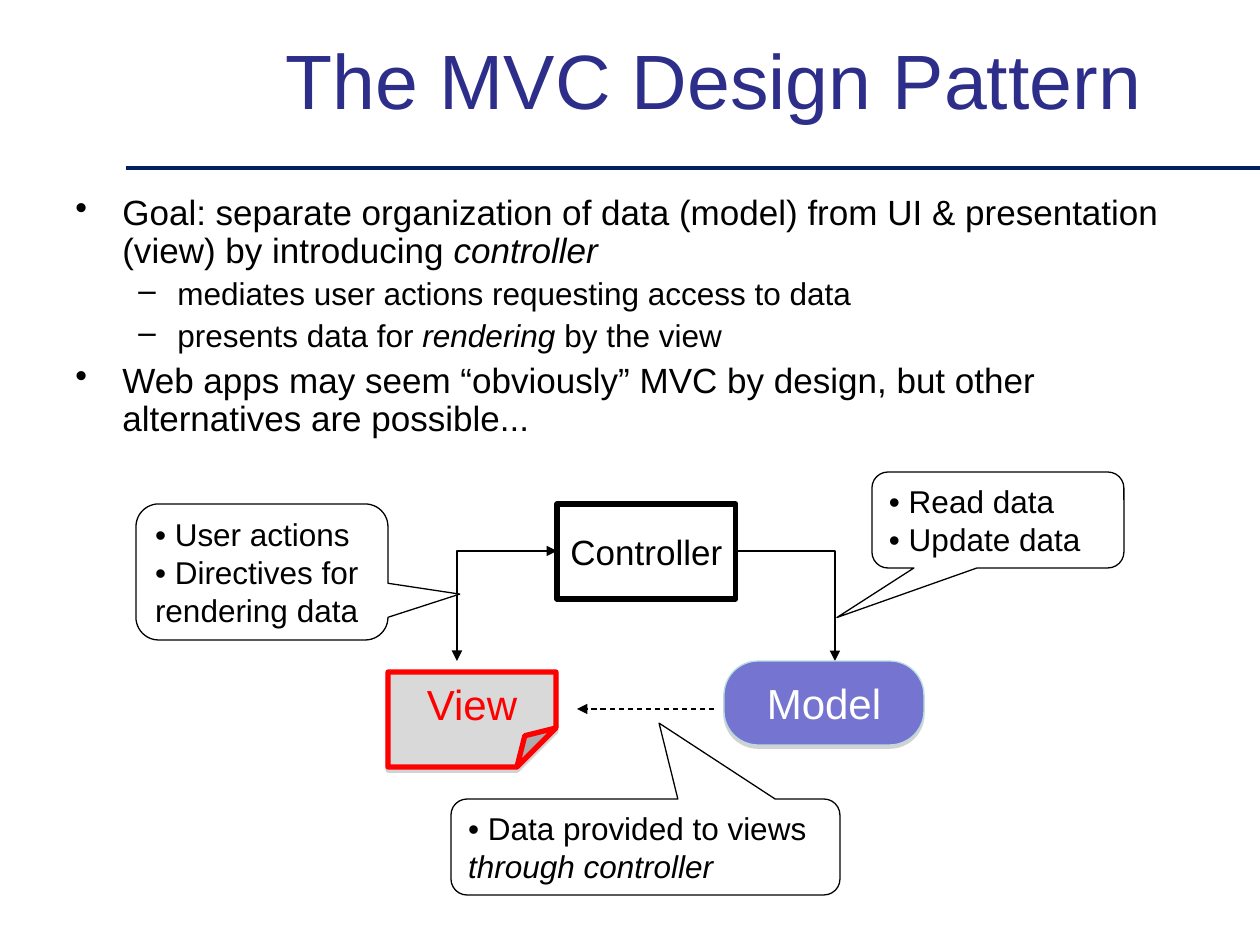
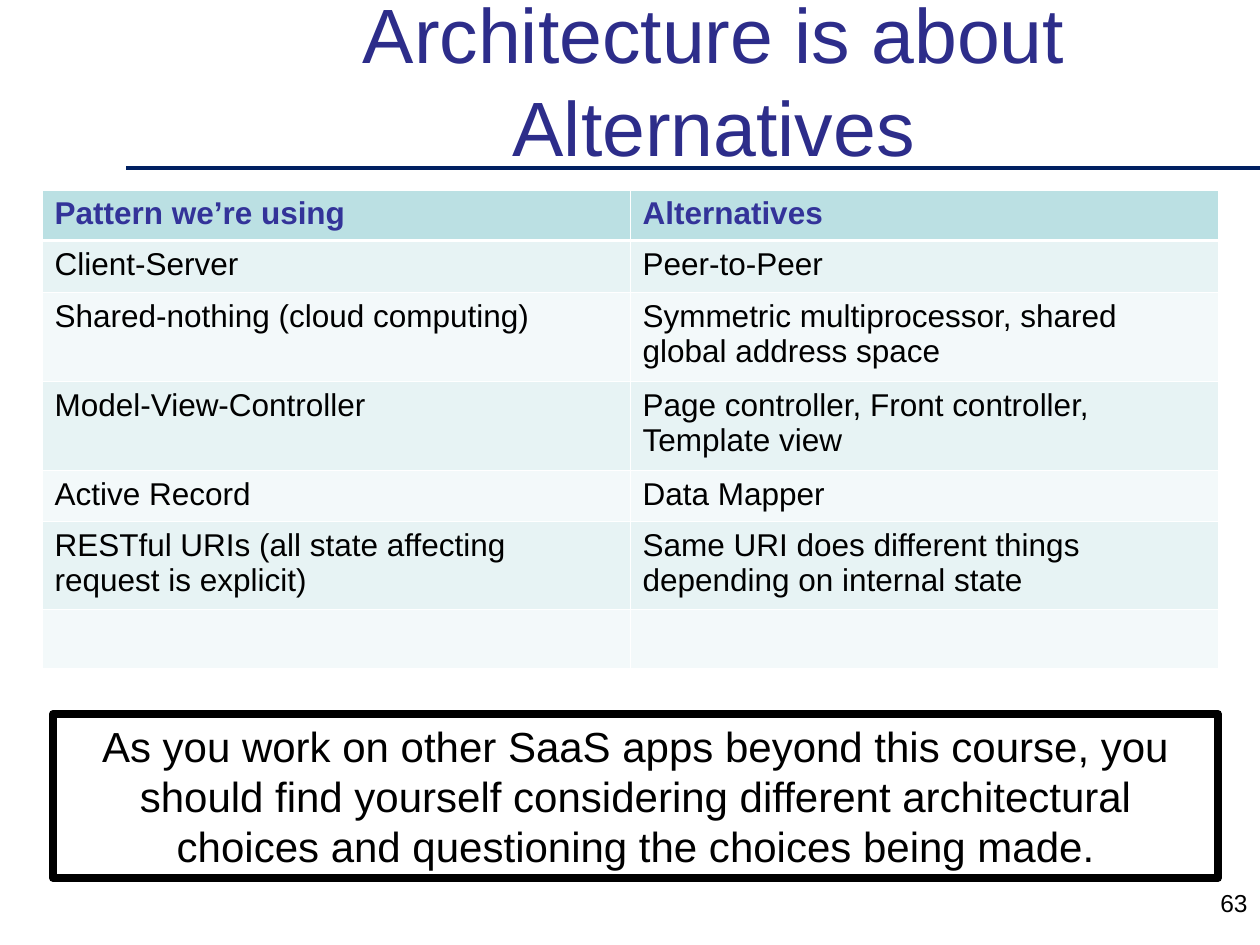
import dataclasses

import lxml.etree
import pptx
import pptx.dml.color
import pptx.enum.dml
import pptx.enum.shapes
import pptx.enum.text
import pptx.oxml.ns
import pptx.util

qn = pptx.oxml.ns.qn
SHAPE = pptx.enum.shapes.MSO_SHAPE
CONNECTOR = pptx.enum.shapes.MSO_CONNECTOR
ALIGN = pptx.enum.text.PP_ALIGN
ANCHOR = pptx.enum.text.MSO_ANCHOR
color = pptx.dml.color.RGBColor.from_string
px = 914400 / 126


@dataclasses.dataclass(frozen=True)
class Theme:
    font: str = "Arial"
    title: str = "2D2D8A"
    rule: str = "002061"
    ink: str = "000000"
    paper: str = "FFFFFF"
    model: str = "7575D1"
    model_edge: str = "B6DCDF"
    view: str = "D9D9D9"
    view_edge: str = "FF0000"
    shadow: str = "808080"
    header: str = "BBE0E3"
    header_ink: str = "333399"
    bands: tuple = ("E7F3F4", "F3F9FA")
    title_size: int = 44
    large: int = 24
    body: int = 20
    small: int = 18
    number: int = 14


theme = Theme()


def write(frame, lines, size, ink=theme.ink, align=ALIGN.LEFT, anchor=ANCHOR.TOP, bold=False, wrap=True):
    frame.word_wrap = wrap
    frame.vertical_anchor = anchor
    for index, line in enumerate(lines):
        para = frame.add_paragraph() if index else frame.paragraphs[0]
        para.alignment = align
        for text, italic in line:
            span = para.add_run()
            span.text = text
            span.font.name = theme.font
            span.font.size = pptx.util.Pt(size)
            span.font.color.rgb = color(ink)
            span.font.italic = italic
            span.font.bold = bold


def draw(page, kind, place, fill, edge, width, adjustments=None, shadow=False):
    box = page.shapes.add_shape(kind, *[round(value * px) for value in place])
    if adjustments:
        guides = box._element.spPr.find(qn("a:prstGeom")).get_or_add_avLst()
        for guide in list(guides):
            guides.remove(guide)
        for name, value in adjustments.items():
            lxml.etree.SubElement(guides, qn("a:gd"), name=name, fmla=f"val {round(value * 100000)}")
    if fill:
        box.fill.solid()
        box.fill.fore_color.rgb = color(fill)
    else:
        box.fill.background()
    box.line.color.rgb = color(edge)
    box.line.width = pptx.util.Pt(width)
    box.shadow.inherit = False
    if shadow:
        effects = box._element.spPr.find(qn("a:effectLst"))
        outer = lxml.etree.SubElement(effects, qn("a:outerShdw"), blurRad="0", dist="22860", dir="5400000", rotWithShape="0")
        tone = lxml.etree.SubElement(outer, qn("a:srgbClr"), val=theme.shadow)
        lxml.etree.SubElement(tone, qn("a:alpha"), val="35000")
    return box


deck = pptx.Presentation()
deck.slide_width = round(1260 * px)
deck.slide_height = round(945 * px)

pages = []
for title in ("The MVC Design Pattern", "Architecture is about Alternatives"):
    page = deck.slides.add_slide(deck.slide_layouts[6])
    rule = page.shapes.add_connector(CONNECTOR.STRAIGHT, *[round(value * px) for value in (126, 168, 1260, 168)])
    rule.line.color.rgb = color(theme.rule)
    rule.line.width = pptx.util.Pt(2)
    lxml.etree.SubElement(rule._element.spPr, qn("a:effectLst"))
    box = page.shapes.add_textbox(*[round(value * px) for value in (168, 0, 1092, 158)])
    write(box.text_frame, [[(title, False)]], theme.title_size, theme.title, ALIGN.CENTER, ANCHOR.MIDDLE)
    pages.append(page)
pattern_page, choices_page = pages

body = pattern_page.shapes.add_textbox(*[round(value * px) for value in (63, 189, 1134, 315)])
write(body.text_frame, [
    [("Goal: separate organization of data (model) from UI & presentation (view) by introducing ", False),
     ("controller", True)],
    [("mediates user actions requesting access to data", False)],
    [("presents data for ", False), ("rendering", True), (" by the view", False)],
    [("Web apps may seem “obviously” MVC by design, but other alternatives are possible...", False)],
], theme.body)
levels = [("•", 47, 47, theme.body, 5), ("–", 102, 39, theme.small, 4.5)]
for index, (para, level) in enumerate(zip(body.text_frame.paragraphs, (0, 1, 1, 0))):
    mark, left, hang, size, before = levels[level]
    para.level = level
    settings = para._p.get_or_add_pPr()
    settings.set("marL", str(round(left * px)))
    settings.set("indent", str(-round(hang * px)))
    tone = lxml.etree.SubElement(settings, qn("a:buClr"))
    lxml.etree.SubElement(tone, qn("a:srgbClr"), val=theme.ink)
    lxml.etree.SubElement(settings, qn("a:buChar"), char=mark)
    para.line_spacing = 0.9
    para.space_before = pptx.util.Pt(before if index else 0)
    for span in para.runs:
        span.font.size = pptx.util.Pt(size)

controller = draw(pattern_page, SHAPE.RECTANGLE, (557, 504, 179, 95), None, theme.ink, 3)
write(controller.text_frame, [[("Controller", False)]], theme.body, align=ALIGN.CENTER, anchor=ANCHOR.MIDDLE, wrap=False)

arrows = [
    (CONNECTOR.ELBOW, (562, 656, 452, 556), 90, False, ("headEnd", "tailEnd")),
    (CONNECTOR.ELBOW, (735, 551, 835, 661), 0, False, ("tailEnd",)),
    (CONNECTOR.STRAIGHT, (714, 709, 577, 709), 0, True, ("tailEnd",)),
]
for kind, ends, turn, dashed, heads in arrows:
    arrow = pattern_page.shapes.add_connector(kind, *[round(value * px) for value in ends])
    arrow.line.color.rgb = color(theme.ink)
    arrow.line.width = pptx.util.Pt(0.75)
    properties = arrow._element.spPr
    if kind == CONNECTOR.ELBOW:
        properties.find(qn("a:prstGeom")).set("prst", "bentConnector2")
    if turn:
        properties.find(qn("a:xfrm")).set("rot", str(turn * 60000))
    if dashed:
        arrow.line.dash_style = pptx.enum.dml.MSO_LINE.DASH
    for head in heads:
        lxml.etree.SubElement(properties.find(qn("a:ln")), qn("a:" + head), type="triangle")
    lxml.etree.SubElement(properties, qn("a:effectLst"))

callouts = [
    ((136, 504, 252, 136), 0.785, 0.163,
     [[("• User actions", False)], [("• Directives for rendering data", False)]]),
    ((872, 472, 252, 96), -0.639, 1.016,
     [[("• Read data", False)], [("• Update data", False)]]),
    ((451, 799, 389, 96), 0.035, -1.291,
     [[("• Data provided to views ", False), ("through controller", True)]]),
]
for place, tip_x, tip_y, lines in callouts:
    callout = draw(pattern_page, SHAPE.ROUNDED_RECTANGULAR_CALLOUT, place, theme.paper, theme.ink, 0.75,
                   {"adj1": tip_x, "adj2": tip_y, "adj3": 0.167})
    write(callout.text_frame, lines, theme.small, anchor=ANCHOR.MIDDLE)

model = draw(pattern_page, SHAPE.ROUNDED_RECTANGLE, (724, 661, 200, 84), theme.model, theme.model_edge, 0.75, {"adj": 0.406}, True)
write(model.text_frame, [[("Model", False)]], theme.large, theme.paper, ALIGN.CENTER, ANCHOR.MIDDLE)
view = draw(pattern_page, SHAPE.FOLDED_CORNER, (388, 672, 168, 95), theme.view, theme.view_edge, 3, {"adj": 0.411}, True)
write(view.text_frame, [[("View", False)]], theme.large, theme.view_edge, ALIGN.CENTER)

choices = [
    (50, "Pattern we’re using", "Alternatives"),
    (52, "Client-Server", "Peer-to-Peer"),
    (89, "Shared-nothing (cloud computing)", "Symmetric multiprocessor, shared global address space"),
    (89, "Model-View-Controller", "Page controller, Front controller, Template view"),
    (51, "Active Record", "Data Mapper"),
    (88, "RESTful URIs (all state affecting request is explicit)",
     "Same URI does different things depending on internal state"),
    (59, "", ""),
]
total = sum(choice[0] for choice in choices)
table = choices_page.shapes.add_table(len(choices), 2, *[round(value * px) for value in (42, 190, 1176, total)]).table
table.horz_banding = False
for row, (height, *texts) in enumerate(choices):
    table.rows[row].height = round(height * px)
    for column, text in enumerate(texts):
        cell = table.cell(row, column)
        for side in ("lnL", "lnR", "lnT", "lnB"):
            heavy = (row, side) in ((0, "lnB"), (1, "lnT"))
            border = lxml.etree.SubElement(cell._tc.get_or_add_tcPr(), qn("a:" + side),
                                           w=str(int(pptx.util.Pt(1.47 if heavy else 0.45))))
            paint = lxml.etree.SubElement(border, qn("a:solidFill"))
            lxml.etree.SubElement(paint, qn("a:srgbClr"), val=theme.paper)
        cell.fill.solid()
        cell.fill.fore_color.rgb = color(theme.bands[(row - 1) % 2] if row else theme.header)
        if text:
            write(cell.text_frame, [[(text, False)]], theme.small, theme.ink if row else theme.header_ink, bold=row == 0)

number = choices_page.shapes.add_textbox(*[round(value * px) for value in (966, 882, 294, 63)])
write(number.text_frame, [[("63", False)]], theme.number, align=ALIGN.RIGHT)

advice = draw(choices_page, SHAPE.RECTANGLE, (53, 714, 1165, 164), None, theme.ink, 4.5)
write(advice.text_frame, [[(
    "As you work on other SaaS apps beyond this course, you should find yourself considering "
    "different architectural choices and questioning the choices being made.", False)]],
    theme.large, align=ALIGN.CENTER)

deck.save("out.pptx")
